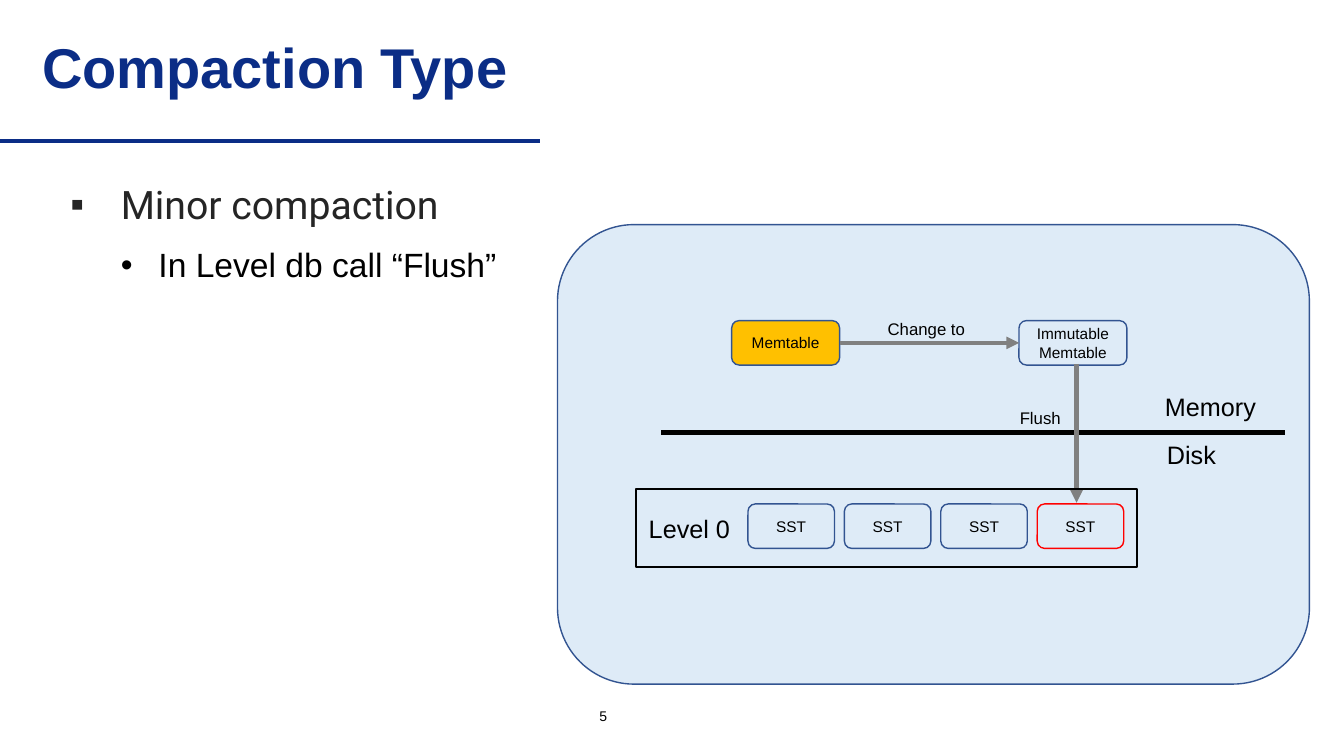
from dataclasses import dataclass

from lxml import etree
from pptx import Presentation
from pptx.dml.color import RGBColor
from pptx.enum.shapes import MSO_CONNECTOR, MSO_SHAPE
from pptx.enum.text import MSO_ANCHOR, MSO_AUTO_SIZE, PP_ALIGN
from pptx.oxml.ns import qn
from pptx.util import Cm, Pt

STRAIGHT = MSO_CONNECTOR.STRAIGHT
RECT = MSO_SHAPE.RECTANGLE
ROUNDED = MSO_SHAPE.ROUNDED_RECTANGLE
TOP, MIDDLE = MSO_ANCHOR.TOP, MSO_ANCHOR.MIDDLE
LEFT, CENTER = PP_ALIGN.LEFT, PP_ALIGN.CENTER
NO_FIT = MSO_AUTO_SIZE.NONE
RIGHT_SITE, LEFT_SITE = 3, 1


@dataclass(frozen=True)
class Theme:
    navy: str = "0B2D86"
    ink: str = "000000"
    charcoal: str = "252525"
    panel: str = "DEEBF7"
    outline: str = "325491"
    active: str = "FFC000"
    fresh: str = "FF0000"
    arrow: str = "808080"
    font: str = "Arial"
    point_font: str = "Roboto"
    title_size: int = 40
    point_size: int = 28
    detail_size: int = 24
    zone_size: int = 18
    step_size: int = 12
    node_size: int = 11
    number_size: int = 10


def apply(target, values):
    for name, value in values.items():
        setattr(target, name, value)


class SlideBuilder:
    def __init__(self, slide, theme):
        self.slide = slide
        self.theme = theme

    def place(self, shape, box):
        apply(shape, dict(zip(("left", "top", "width", "height"), map(Cm, box))))

    def style(self, paragraph, size, color=None, font=None, bold=False, **layout):
        apply(paragraph, layout)
        apply(paragraph.font, {"size": Pt(size), "name": font or self.theme.font, "bold": bold})
        paragraph.font.color.rgb = RGBColor.from_string(color or self.theme.ink)

    def fill_text(self, shape, text, size, align=LEFT, anchor=TOP, **look):
        frame = shape.text_frame
        apply(frame, {"text": text, "word_wrap": True, "auto_size": NO_FIT,
                      "vertical_anchor": anchor})
        for paragraph in frame.paragraphs:
            self.style(paragraph, size, alignment=align, **look)

    def title(self, text, box):
        heading = self.slide.shapes.title
        self.place(heading, box)
        self.fill_text(heading, text, self.theme.title_size, anchor=MIDDLE,
                       color=self.theme.navy, bold=True, line_spacing=0.9)

    def bullets(self, items, box):
        body = self.slide.placeholders[1]
        self.place(body, box)
        frame = body.text_frame
        apply(frame, {"text": "\n".join(item["text"] for item in items),
                      "auto_size": NO_FIT, "vertical_anchor": TOP})
        for paragraph, item in zip(frame.paragraphs, items):
            self.style(paragraph, alignment=LEFT, line_spacing=1.2,
                       space_before=Pt(6), **item["look"])
            properties = paragraph._p.get_or_add_pPr()
            properties.set("marL", str(Cm(item["margin"])))
            properties.set("indent", str(-Cm(item["hang"])))
            bullet_font = etree.Element(qn("a:buFont"), typeface=self.theme.font)
            bullet = etree.Element(qn("a:buChar"), char=item["bullet"])
            properties.find(qn("a:spcBef")).addnext(bullet_font)
            bullet_font.addnext(bullet)

    def label(self, text, box, size, **look):
        note = self.slide.shapes.add_textbox(*map(Cm, box))
        self.fill_text(note, text, size, **look)

    def block(self, box, kind=ROUNDED, text="", fill=None, line=None, weight=1):
        shape = self.slide.shapes.add_shape(kind, *map(Cm, box))
        shape.shadow.inherit = False
        if fill:
            shape.fill.solid()
            shape.fill.fore_color.rgb = RGBColor.from_string(fill)
        else:
            shape.fill.background()
        shape.line.color.rgb = RGBColor.from_string(line or self.theme.outline)
        shape.line.width = Pt(weight)
        if text:
            self.fill_text(shape, text, self.theme.node_size, align=CENTER, anchor=MIDDLE)
        return shape

    def line(self, start, end, color, arrow=False):
        connector = self.slide.shapes.add_connector(STRAIGHT, *map(Cm, start + end))
        connector.line.color.rgb = RGBColor.from_string(color)
        connector.line.width = Pt(3)
        properties = connector._element.spPr
        if arrow:
            etree.SubElement(properties.find(qn("a:ln")), qn("a:tailEnd"), type="triangle")
        etree.SubElement(properties, qn("a:effectLst"))
        return connector


deck = Presentation()
deck.slide_width, deck.slide_height = Cm(33.87), Cm(19.05)
theme = Theme()
page = SlideBuilder(deck.slides.add_slide(deck.slide_layouts[1]), theme)

page.line((0, 3.56), (13.61, 3.56), theme.navy)
page.title("Compaction Type", (0.81, 0.61, 24.66, 2.31))
page.bullets([
    {"text": "Minor compaction", "bullet": "▪", "margin": 1.27, "hang": 1.27,
     "look": {"size": theme.point_size, "font": theme.point_font, "color": theme.charcoal}},
    {"text": "In Level db call “Flush”", "bullet": "•", "margin": 2.22, "hang": 0.95,
     "look": {"size": theme.detail_size, "level": 1}},
], (1.52, 4.19, 30.84, 13.36))
page.label("5", (13.13, 17.83, 4.14, 0.43), theme.number_size, align=CENTER, anchor=MIDDLE)

page.block((14.05, 5.66, 18.95, 11.58), fill=theme.panel)
memtable = page.block((18.44, 8.08, 2.72, 1.12), text="Memtable", fill=theme.active)
immutable = page.block((25.68, 8.08, 2.72, 1.12), text="Immutable\nMemtable")
change = page.line((21.16, 8.64), (25.68, 8.64), theme.arrow, arrow=True)
change.begin_connect(memtable, RIGHT_SITE)
change.end_connect(immutable, LEFT_SITE)

page.line((16.66, 10.9), (32.39, 10.9), theme.ink)
page.line((27.13, 9.17), (27.13, 12.67), theme.arrow, arrow=True)
for zone, left, top in (("Memory", 29.11, 9.73), ("Disk", 29.16, 10.95)):
    page.label(zone, (left, top, 3.25, 1.02), theme.zone_size)
for step, box in (("Change to", (22.12, 7.9, 2.82, 0.76)), ("Flush", (25.45, 10.16, 1.83, 0.76))):
    page.label(step, box, theme.step_size)

page.block((16.03, 12.32, 12.62, 1.96), kind=RECT, line=theme.ink, weight=1.5)
page.label("Level 0", (16.1, 12.8, 2.79, 1.02), theme.zone_size)
TABLE_COUNT, FIRST_TABLE, TABLE_STEP = 4, 18.85, 2.43
for index in range(TABLE_COUNT):
    newest = index == TABLE_COUNT - 1
    page.block((FIRST_TABLE + index * TABLE_STEP, 12.7, 2.18, 1.12), text="SST",
               line=theme.fresh if newest else theme.outline)

deck.save("out.pptx")
